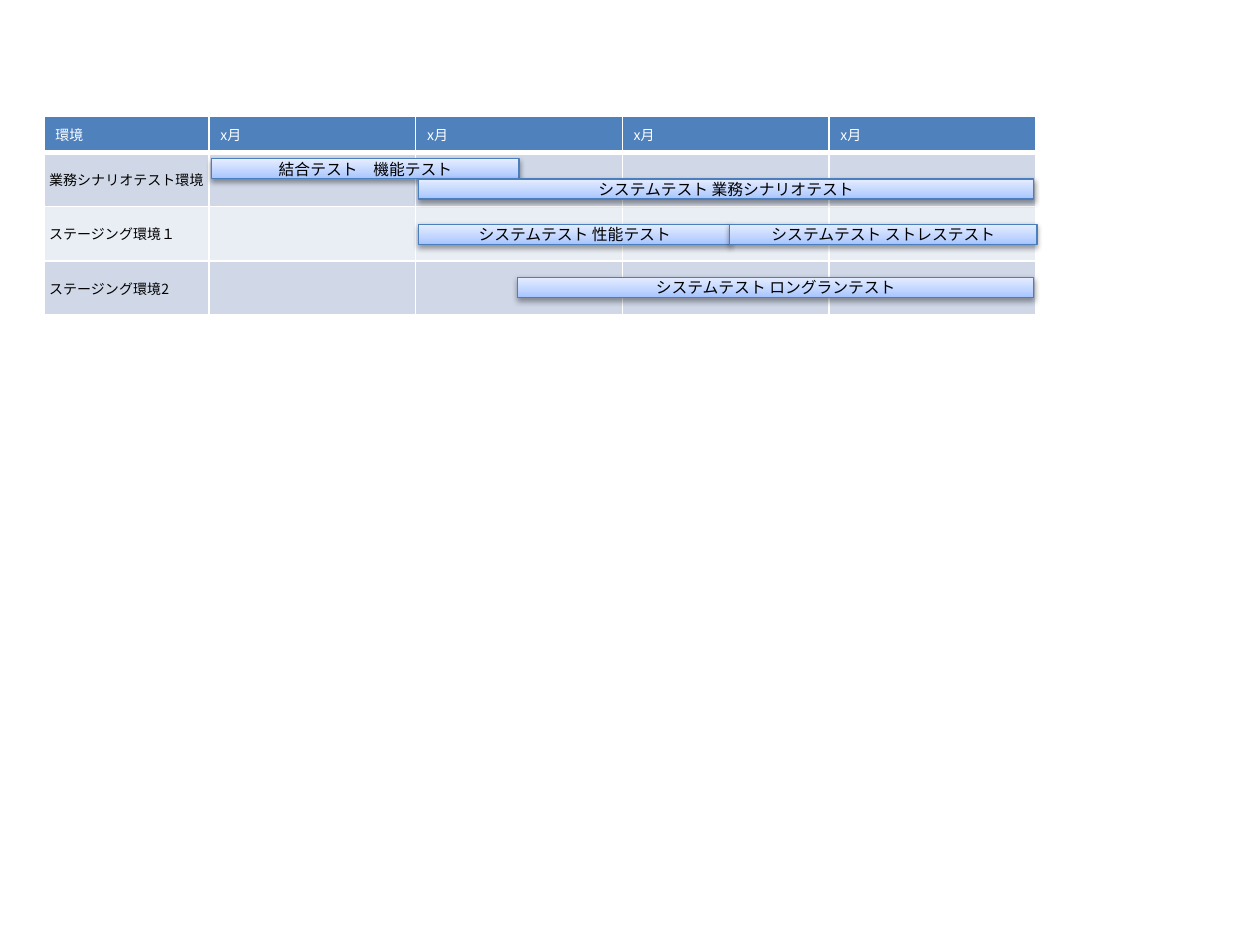
from copy import deepcopy

from lxml import etree
from pptx import Presentation
from pptx.dml.color import RGBColor
from pptx.enum.shapes import MSO_SHAPE
from pptx.enum.text import MSO_ANCHOR, PP_ALIGN
from pptx.oxml.ns import qn
from pptx.util import Inches, Pt

RECT = MSO_SHAPE.RECTANGLE
MIDDLE = MSO_ANCHOR.MIDDLE
LEFT, CENTER = PP_ALIGN.LEFT, PP_ALIGN.CENTER

WHITE = RGBColor(0xFF, 0xFF, 0xFF)
BLACK = RGBColor(0, 0, 0)
HEADER = RGBColor(0x4F, 0x81, 0xBD)
BAND_DARK = RGBColor(0xD0, 0xD8, 0xE8)
BAND_LIGHT = RGBColor(0xE9, 0xED, 0xF4)
BAR_LINE = RGBColor(0x4B, 0x7E, 0xBC)
BAR_STOPS = [
    (0, RGBColor(0xA4, 0xC4, 0xFF)),
    (0.35, RGBColor(0xBF, 0xD4, 0xFF)),
    (1, RGBColor(0xE6, 0xEE, 0xFF)),
]
FONT = "Noto Sans CJK JP"

COL_WIDTHS = [1.31] + [1.64] * 4
ROW_HEIGHTS = [0.29] + [0.43] * 3
ROWS = [
    ["環境"] + ["x月"] * 4,
    ["業務シナリオテスト環境"] + [""] * 4,
    ["ステージング環境１"] + [""] * 4,
    ["ステージング環境2"] + [""] * 4,
]
BAR_HEIGHT = 0.16
BARS = [
    ("システムテスト ロングランテスト", 3.76, 1.28, 4.09),
    ("システムテスト 性能テスト", 2.97, 0.86, 2.48),
    ("結合テスト　機能テスト", 1.33, 0.34, 2.44),
    ("システムテスト 業務シナリオテスト", 2.97, 0.5, 4.88),
    ("システムテスト ストレステスト", 5.44, 0.86, 2.44),
]


def write_text(tf, text, size=8, color=BLACK, align=LEFT):
    p = tf.paragraphs[0]
    p.alignment = align
    r = p.add_run()
    r.text = text
    r.font.size = Pt(size)
    r.font.name = FONT
    r.font.color.rgb = color
    etree.SubElement(r.font._element, qn("a:ea"), typeface=FONT)


def set_borders(cell, bottom):
    tcPr = cell._tc.get_or_add_tcPr()
    for side, width in (("L", 1), ("R", 1), ("T", 1), ("B", bottom)):
        ln = etree.SubElement(tcPr, qn(f"a:ln{side}"), w=str(Pt(width)))
        fill = etree.SubElement(ln, qn("a:solidFill"))
        etree.SubElement(fill, qn("a:srgbClr"), val=str(WHITE))


def add_schedule_table(s, left, top, width, height):
    table = s.shapes.add_table(
        len(ROWS), len(COL_WIDTHS),
        Inches(left), Inches(top), Inches(width), Inches(height),
    ).table
    for column, w in zip(table.columns, COL_WIDTHS):
        column.width = Inches(w)
    for i, (row, h) in enumerate(zip(table.rows, ROW_HEIGHTS)):
        row.height = Inches(h)
        is_header = i == 0
        band = HEADER if is_header else BAND_DARK if i % 2 else BAND_LIGHT
        for cell, text in zip(row.cells, ROWS[i]):
            cell.vertical_anchor = MIDDLE
            cell.margin_left = cell.margin_right = Inches(0.09 if is_header else 0.04)
            cell.margin_top = cell.margin_bottom = Inches(0.05 if is_header else 0.04)
            set_borders(cell, 3 if is_header else 1)
            cell.fill.solid()
            cell.fill.fore_color.rgb = band
            write_text(cell.text_frame, text, color=WHITE if is_header else BLACK)


def set_gradient(sp):
    sp.fill.gradient()
    sp.fill.gradient_angle = 90
    gs = sp._element.spPr.find(".//" + qn("a:gs"))
    gs.addnext(deepcopy(gs))
    for stop, (position, color) in zip(sp.fill.gradient_stops, BAR_STOPS):
        stop.position = position
        stop.color.rgb = color


def set_shadow(sp):
    sp.shadow.inherit = False
    effects = sp._element.spPr.find(qn("a:effectLst"))
    shadow = etree.SubElement(
        effects, qn("a:outerShdw"), blurRad=str(Pt(3.1)), dist=str(Pt(1.6)),
        dir="5400000", rotWithShape="0",
    )
    color = etree.SubElement(shadow, qn("a:srgbClr"), val=str(BLACK))
    etree.SubElement(color, qn("a:alpha"), val="38000")


def add_bar(s, text, left, top, width, height):
    sp = s.shapes.add_shape(
        RECT, Inches(left), Inches(top), Inches(width), Inches(height)
    )
    set_gradient(sp)
    sp.line.color.rgb = BAR_LINE
    sp.line.width = Pt(0.75)
    set_shadow(sp)
    tf = sp.text_frame
    tf.word_wrap = True
    tf.vertical_anchor = MIDDLE
    write_text(tf, text, size=9, align=CENTER)


def add_schedule(s, left, top, width, height):
    add_schedule_table(s, left, top, width, height)
    for text, dx, dy, w in BARS:
        add_bar(s, text, left + dx, top + dy, w, BAR_HEIGHT)


def main():
    prs = Presentation()
    prs.slide_width, prs.slide_height = Inches(10), Inches(7.5)
    s = prs.slides.add_slide(prs.slide_layouts[6])
    add_schedule(s, 0.35, 0.92, sum(COL_WIDTHS), sum(ROW_HEIGHTS))
    prs.save("out.pptx")


if __name__ == "__main__":
    main()
